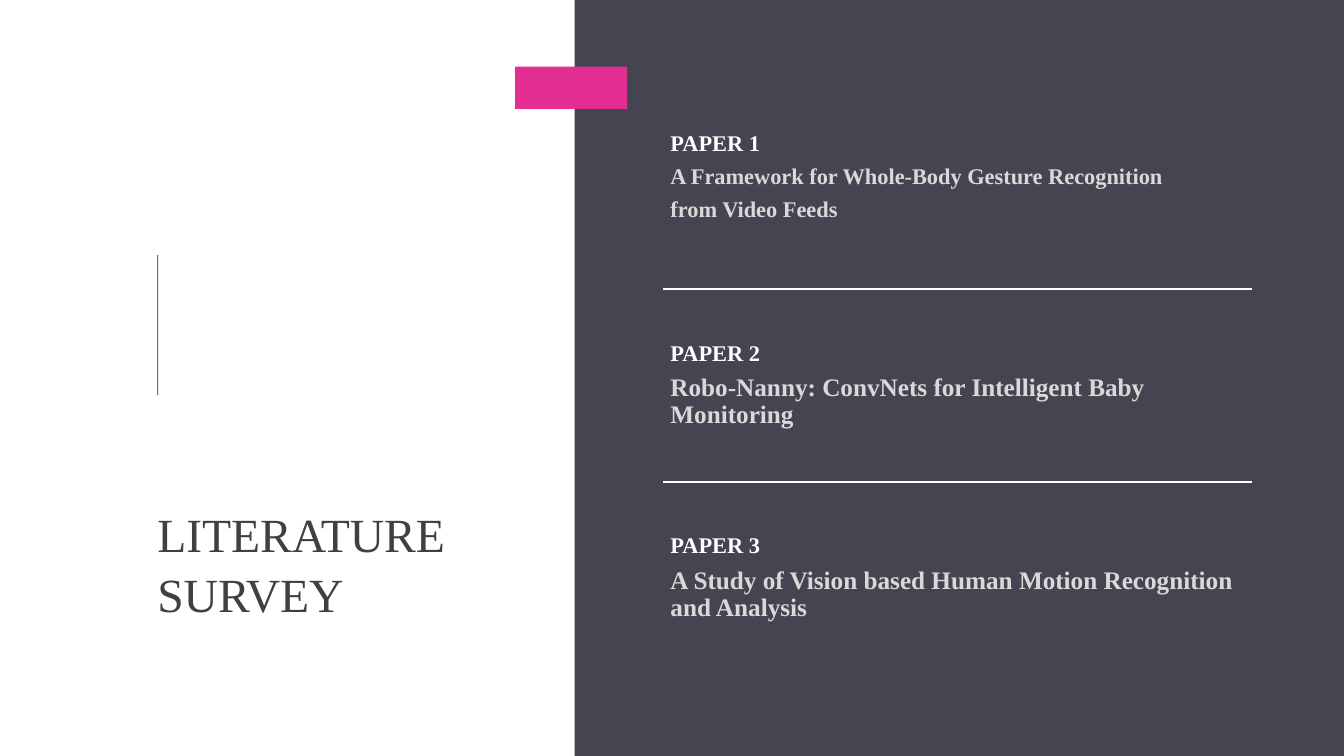
from pptx import Presentation, util as u
from pptx.dml.color import RGBColor
from pptx.enum import shapes, text
from pptx.oxml.xmlchemy import OxmlElement

HUES = {"panel": "454551", "rule": "24282B", "accent": "E32D91",
        "title": "404040", "head": "FFFFFF", "body": "D9D9D9"}
FONT = "Times New Roman"
LEFT, TOP, WIDE, HIGH = 6.58, 0.96, 5.84, 1.91
PAPERS = [
    (["A Framework for Whole-Body Gesture Recognition", "from Video Feeds"], 16, 0.39),
    (["Robo-Nanny: ConvNets for Intelligent Baby Monitoring"], 18, 0.07),
    (["A Study of Vision based Human Motion Recognition and Analysis"], 18, 0.07),
]


def color(name):
    """Return the named colour."""
    return RGBColor.from_string(HUES[name])


def write(para, words, size, hue, bold=False, lead=0.9, after=6.3):
    """Fill a paragraph with formatted text."""
    para.text = words
    para.alignment = text.PP_ALIGN.LEFT
    para.line_spacing = lead
    para.space_before, para.space_after = u.Pt(0), u.Pt(after)
    for run in para.runs:
        font = run.font
        font.name, font.size, font.bold = FONT, u.Pt(size), bold
        font.color.rgb = color(hue)


def setup(frame, anchor, inset, foot):
    """Set the wrapping, anchor and margins of a text frame."""
    frame.word_wrap = True
    frame.auto_size = text.MSO_AUTO_SIZE.NONE
    frame.vertical_anchor = anchor
    frame.margin_left = frame.margin_right = frame.margin_top = u.Inches(inset)
    frame.margin_bottom = u.Inches(foot)


def block(slide, box, hue):
    """Draw a plain filled rectangle."""
    rect = slide.shapes.add_shape(shapes.MSO_SHAPE.RECTANGLE, *map(u.Inches, box))
    rect.shadow.inherit = False
    rect.fill.solid()
    rect.fill.fore_color.rgb = color(hue)
    rect.line.fill.background()


def divide(slide, top):
    """Draw a white line between two papers."""
    ends = map(u.Inches, (LEFT, top, LEFT + WIDE, top))
    line = slide.shapes.add_connector(shapes.MSO_CONNECTOR.STRAIGHT, *ends)
    line.line.color.rgb = color("head")
    line.line.width = u.Pt(1.75)
    line._element.spPr.append(OxmlElement("a:effectLst"))


def paper(slide, top, head, lines, size, foot):
    """Write a paper's heading and its title."""
    box = slide.shapes.add_textbox(*map(u.Inches, (LEFT, top, WIDE, HIGH)))
    frame = box.text_frame
    setup(frame, text.MSO_ANCHOR.MIDDLE, 0.07, foot)
    write(frame.paragraphs[0], head, 16, "head", bold=True)
    for line in lines:
        write(frame.add_paragraph(), line, size, "body", bold=True)


def heading(slide, words):
    """Place the slide title in its placeholder."""
    title = slide.shapes.title
    title.left, title.top, title.width, title.height = map(u.Inches, (1.56, 4.41, 4, 1.76))
    setup(title.text_frame, text.MSO_ANCHOR.BOTTOM, 0, 0)
    write(title.text_frame.paragraphs[0], words, 34, "title", lead=1.04, after=0)


def main():
    """Build and save the slide."""
    deck = Presentation()
    deck.slide_width, deck.slide_height = u.Inches(13.33), u.Inches(7.5)
    slide = deck.slides.add_slide(deck.slide_layouts[5])
    block(slide, (5.7, 0, 7.63, 7.5), "panel")
    block(slide, (1.56, 2.53, 0.01, 1.39), "rule")
    block(slide, (5.11, 0.66, 1.11, 0.42), "accent")
    heading(slide, "LITERATURE\vSURVEY")
    for i, (lines, size, foot) in enumerate(PAPERS):
        top = TOP + i * HIGH
        if i:
            divide(slide, top)
        paper(slide, top, f"PAPER {i + 1}", lines, size, foot)
    deck.save("out.pptx")


if __name__ == "__main__":
    main()
